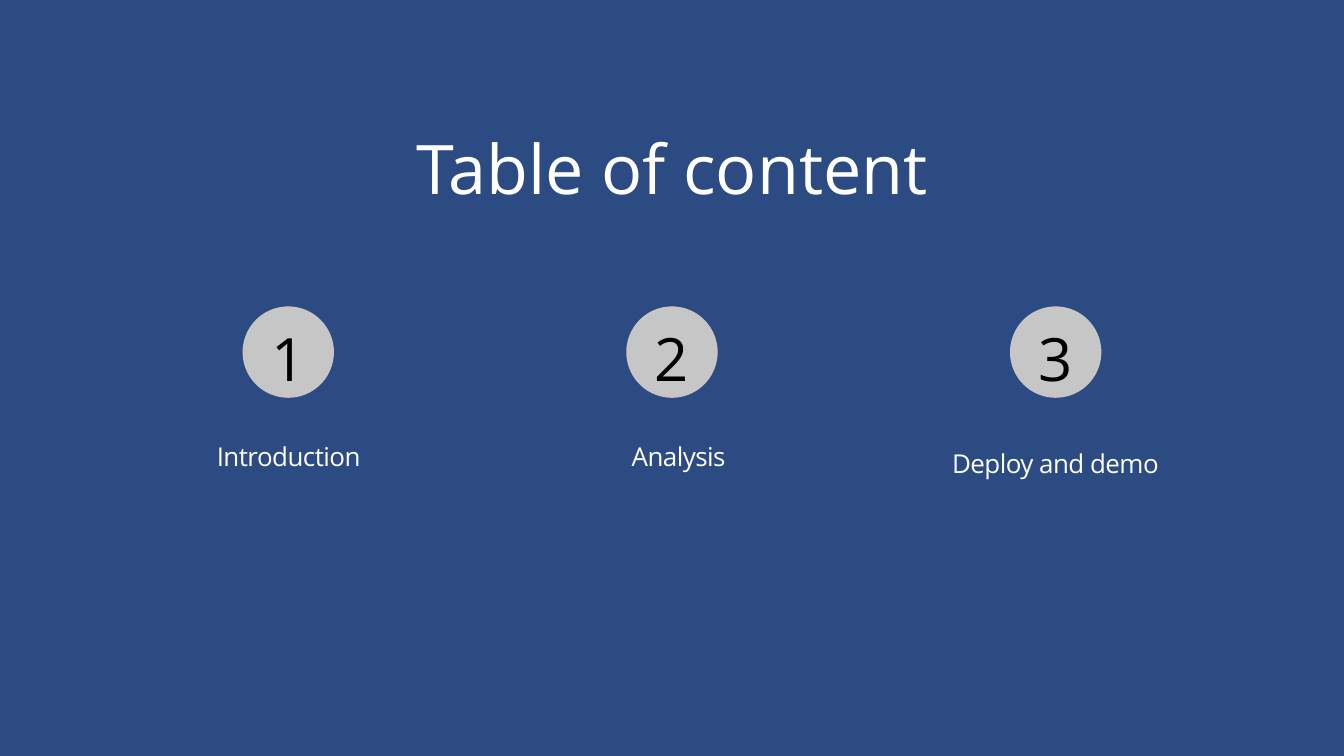
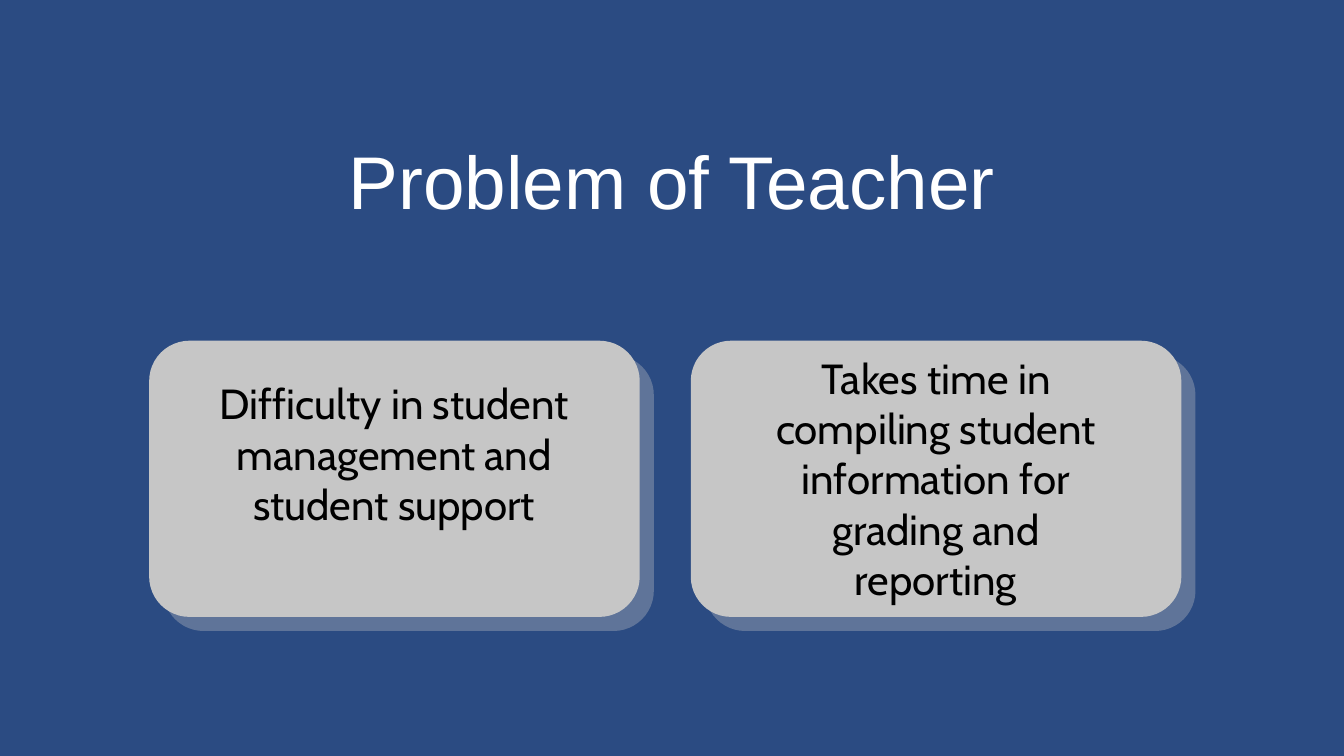
from lxml import etree
from pptx import Presentation
from pptx.dml.color import RGBColor
from pptx.enum.shapes import MSO_SHAPE
from pptx.enum.text import MSO_ANCHOR, MSO_AUTO_SIZE, PP_ALIGN
from pptx.oxml.ns import qn
from pptx.util import Inches, Pt

OVAL = MSO_SHAPE.OVAL
ROUND = MSO_SHAPE.ROUNDED_RECTANGLE
CENTER = PP_ALIGN.CENTER
TOP = MSO_ANCHOR.TOP
FIXED = MSO_AUTO_SIZE.NONE

BLUE, GREY, WHITE, BLACK = "2B4B82", "C6C6C6", "FFFFFF", "000000"
SANS, CABIN, ARIAL = "Open Sans", "Cabin", "Arial"


def rgb(code):
    return RGBColor.from_string(code)


def write(frame, text, font=SANS, size=28, color=WHITE, lead=None, track=0):
    """Fill a frame with one centred paragraph; lead and track are in points."""
    frame.word_wrap = True
    frame.auto_size = FIXED
    frame.vertical_anchor = TOP
    frame.margin_left = frame.margin_right = 0
    frame.margin_top = frame.margin_bottom = 0
    para = frame.paragraphs[0]
    para.alignment = CENTER
    if lead:
        para.line_spacing = Pt(lead)
    run = para.add_run()
    run.text = text
    run.font.name = font
    run.font.size = Pt(size)
    run.font.color.rgb = rgb(color)
    if track:
        run.font._element.set("spc", str(round(track * 100)))


class Deck:
    def __init__(self):
        self.prs = Presentation()
        self.prs.slide_width = Inches(20)
        self.prs.slide_height = Inches(11.25)
        fill = self.prs.slide_master.background.fill
        fill.solid()
        fill.fore_color.rgb = rgb(BLUE)
        self.slide = None

    def page(self, title, box, **style):
        """Start a slide and place its title."""
        self.slide = self.prs.slides.add_slide(self.prs.slide_layouts[5])
        head = self.slide.shapes.title
        head.left, head.top, head.width, head.height = map(Inches, box)
        write(head.text_frame, title, **style)

    def text(self, text, box, **style):
        area = self.slide.shapes.add_textbox(*map(Inches, box))
        write(area.text_frame, text, **style)

    def shape(self, kind, box, alpha=None):
        """Add a grey shape; alpha is its opacity in percent."""
        form = self.slide.shapes.add_shape(kind, *map(Inches, box))
        form.shadow.inherit = False
        form.line.fill.background()
        form.fill.solid()
        form.fill.fore_color.rgb = rgb(GREY)
        if alpha:
            tint = form.fill._xPr.find(".//" + qn("a:srgbClr"))
            etree.SubElement(tint, qn("a:alpha")).set("val", str(alpha * 1000))
        return form

    def badge(self, num, mid):
        """Draw a numbered disc centred at mid."""
        size = 1.36
        left = mid - size / 2
        self.shape(OVAL, (left, 4.56, size, size))
        self.text(num, (left, 4.46, size, 1.31), size=64, color=BLACK,
                  lead=100.5, track=-1.6)

    def card(self, text, left, top):
        """Draw a rounded card over its offset shade; top places the text."""
        wide, high, edge = 7.3, 4.11, 5.07
        for shift, alpha in ((0.21, 34), (0, None)):
            form = self.shape(
                ROUND, (left + shift, edge + shift, wide, high), alpha)
            form.adjustments[0] = 0.6 / high
        self.text(text, (left + 0.96, top, 5.37, edge + high - top),
                  font=CABIN, size=45, color=BLACK, lead=54)


def main():
    deck = Deck()

    # Contents: three numbered topics
    deck.page("Table of content", (4.06, 1.88, 11.88, 1.21),
              size=73.2, lead=87.9)
    topics = (("Introduction", 1.79, 6.59),
              ("Analysis ", 7.64, 6.59),
              ("Deploy and demo", 13.2, 6.7))
    for i, (topic, left, top) in enumerate(topics):
        deck.badge(str(i + 1), 10 + (i - 1) * 5.71)
        deck.text(topic, (left, top, 5.01, 0.42),
                  size=27.8, lead=30.5, track=-0.6)

    # Problems: two cards side by side
    deck.page("Problem of Teacher", (2.18, 2, 15.64, 1.34),
              font=ARIAL, size=80, lead=96)
    issues = (("Difficulty in student management and student support", 5.62),
              ("Takes time in compiling student information for grading "
               "and reporting", 5.24))
    for i, (issue, top) in enumerate(issues):
        deck.card(issue, 2.22 + i * 8.06, top)

    deck.prs.save("out.pptx")


if __name__ == "__main__":
    main()
